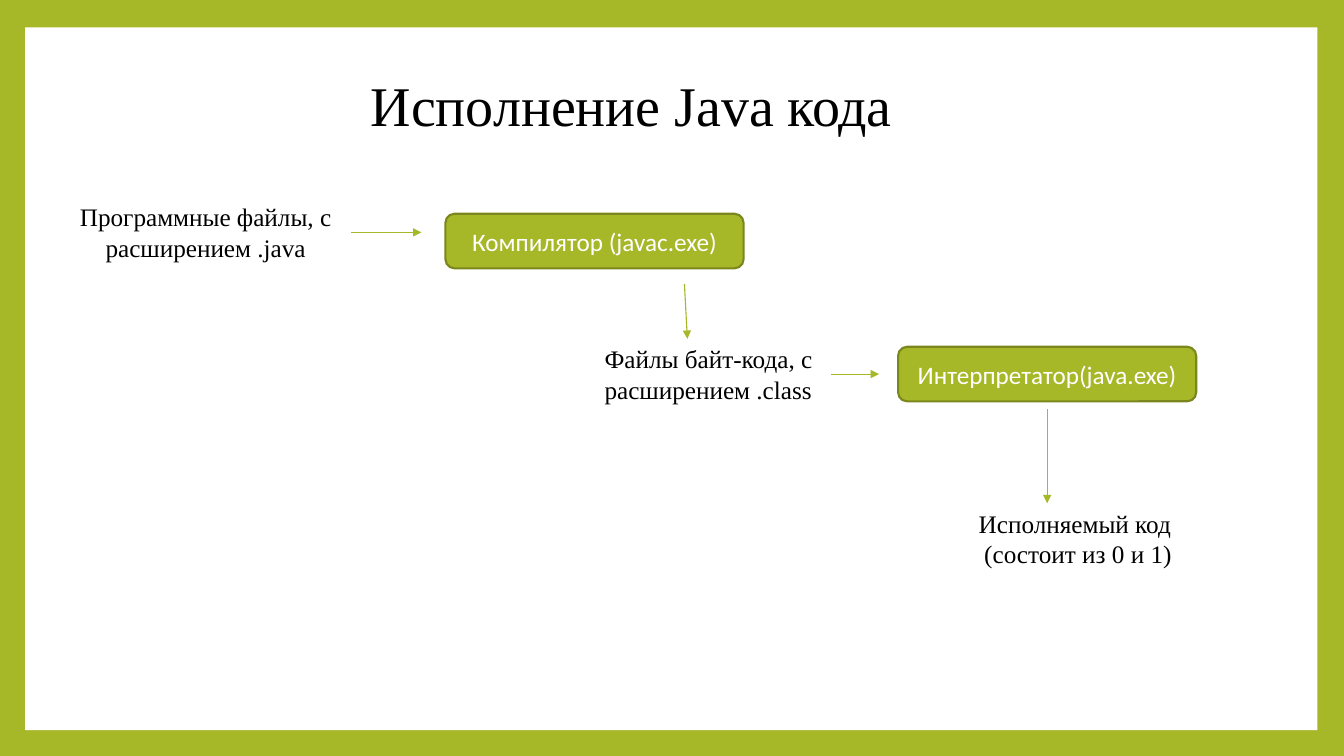
from lxml.etree import SubElement
from pptx import Presentation
from pptx.dml.color import RGBColor
from pptx.enum.shapes import MSO_CONNECTOR, MSO_SHAPE
from pptx.enum.text import MSO_ANCHOR, PP_ALIGN
from pptx.oxml.ns import qn
from pptx.util import Pt

GREEN = RGBColor(0xA6, 0xB7, 0x27)
DARK_GREEN = RGBColor(0x7B, 0x87, 0x1D)
WHITE = RGBColor(0xFF, 0xFF, 0xFF)
BLACK = RGBColor(0x00, 0x00, 0x00)
SERIF = "Times New Roman"
SANS = "Calibri"
PANEL = (18, 19.5, 923, 502)
STAGE_SIZE = (213, 39)
NOTE_HEIGHT = 51


def write_text(shape, text, size=18, font=SERIF, color=BLACK,
               align=PP_ALIGN.CENTER, anchor=MSO_ANCHOR.TOP):
    """Write formatted lines of text into a shape."""
    frame = shape.text_frame
    frame.word_wrap = True
    frame.vertical_anchor = anchor
    frame.text = text
    for paragraph in frame.paragraphs:
        paragraph.alignment = align
        paragraph.font.size = Pt(size)
        paragraph.font.name = font
        paragraph.font.color.rgb = color


def add_note(slide, left, top, width, text, **text_format):
    """Add a plain text label describing files or code."""
    note = slide.shapes.add_textbox(Pt(left), Pt(top), Pt(width), Pt(NOTE_HEIGHT))
    write_text(note, text, **text_format)
    return note


def add_stage(slide, left, top, text):
    """Add a rounded box naming a processing program."""
    width, height = STAGE_SIZE
    stage = slide.shapes.add_shape(MSO_SHAPE.ROUNDED_RECTANGLE,
                                   Pt(left), Pt(top), Pt(width), Pt(height))
    stage.shadow.inherit = False
    stage.fill.solid()
    stage.fill.fore_color.rgb = GREEN
    stage.line.color.rgb = DARK_GREEN
    stage.line.width = Pt(1.5)
    write_text(stage, text, font=SANS, color=WHITE, anchor=MSO_ANCHOR.MIDDLE)


def add_arrow(slide, start_x, start_y, end_x, end_y):
    """Add a thin green arrow between two points."""
    arrow = slide.shapes.add_connector(MSO_CONNECTOR.STRAIGHT, Pt(start_x),
                                       Pt(start_y), Pt(end_x), Pt(end_y))
    arrow.line.color.rgb = GREEN
    arrow.line.width = Pt(0.79)
    properties = arrow.line._get_or_add_ln()
    SubElement(properties, qn("a:tailEnd"), type="triangle")
    SubElement(properties.getparent(), qn("a:effectLst"))
    return arrow


def add_panel(slide, box):
    """Add the white panel on the green background."""
    background = slide.background.fill
    background.solid()
    background.fore_color.rgb = GREEN
    panel = slide.shapes.add_shape(MSO_SHAPE.RECTANGLE, *map(Pt, box))
    panel.shadow.inherit = False
    panel.fill.solid()
    panel.fill.fore_color.rgb = WHITE
    panel.line.fill.background()
    slide.shapes._spTree.insert(2, panel._element)


def add_title(slide, box):
    """Place and format the title near the top of the box."""
    left, top, _, _ = box
    title = slide.shapes.title
    title.left, title.top = Pt(left + 173.5), Pt(top + 27.3)
    title.width, title.height = Pt(519), Pt(55.4)
    write_text(title, "Исполнение Java кода", size=40)


def add_pipeline(slide, box):
    """Draw the path from source files to executable code."""
    left, top, _, _ = box
    source = add_note(slide, left + 25.2, top + 121, 207.4,
                      "Программные файлы, с расширением .java")
    add_stage(slide, left + 300.2, top + 133.2, "Компилятор (javac.exe)")
    add_note(slide, left + 406.8, top + 222.5, 182.2,
             "Файлы байт-кода, с расширением .class", align=PP_ALIGN.LEFT)
    add_note(slide, left + 663, top + 340, 173.5,
             "Исполняемый код\n (состоит из 0 и 1)")
    add_stage(slide, left + 623.5, top + 228.2, "Интерпретатор(java.exe)")

    source_y = top + 121 + NOTE_HEIGHT / 2
    source_arrow = add_arrow(slide, left + 232.6, source_y, left + 283, source_y)
    source_arrow.begin_connect(source, 3)
    add_arrow(slide, left + 575.3, top + 247.7, left + 609.8, top + 247.7)
    add_arrow(slide, left + 730, top + 272.8, left + 730, top + 340)
    add_arrow(slide, left + 470.9, top + 183.5, left + 473, top + 222.5)


def main():
    """Build and save the presentation."""
    presentation = Presentation()
    presentation.slide_width, presentation.slide_height = Pt(960), Pt(540)
    slide = presentation.slides.add_slide(presentation.slide_layouts[5])
    add_panel(slide, PANEL)
    add_title(slide, PANEL)
    add_pipeline(slide, PANEL)
    presentation.save("out.pptx")


if __name__ == "__main__":
    main()
